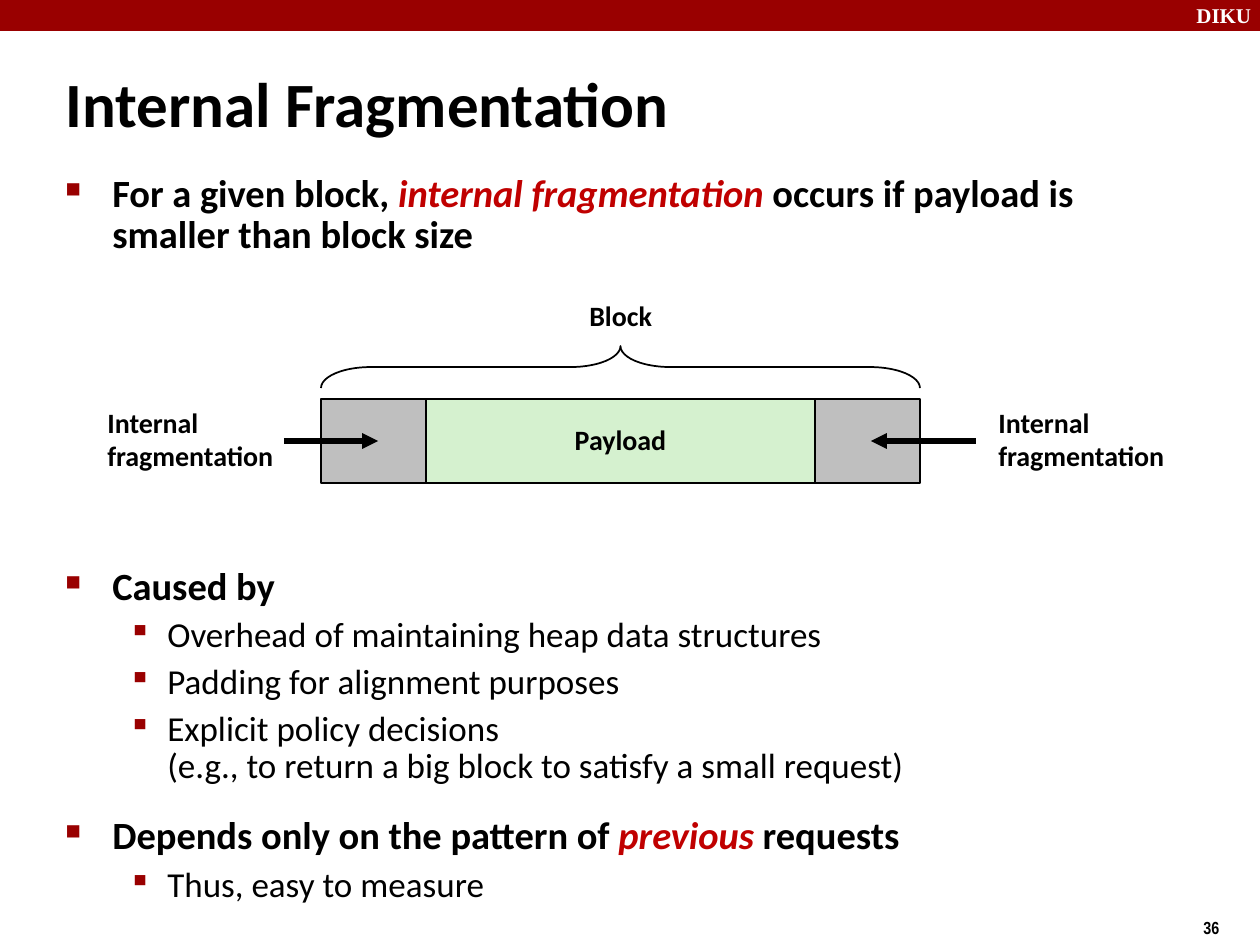
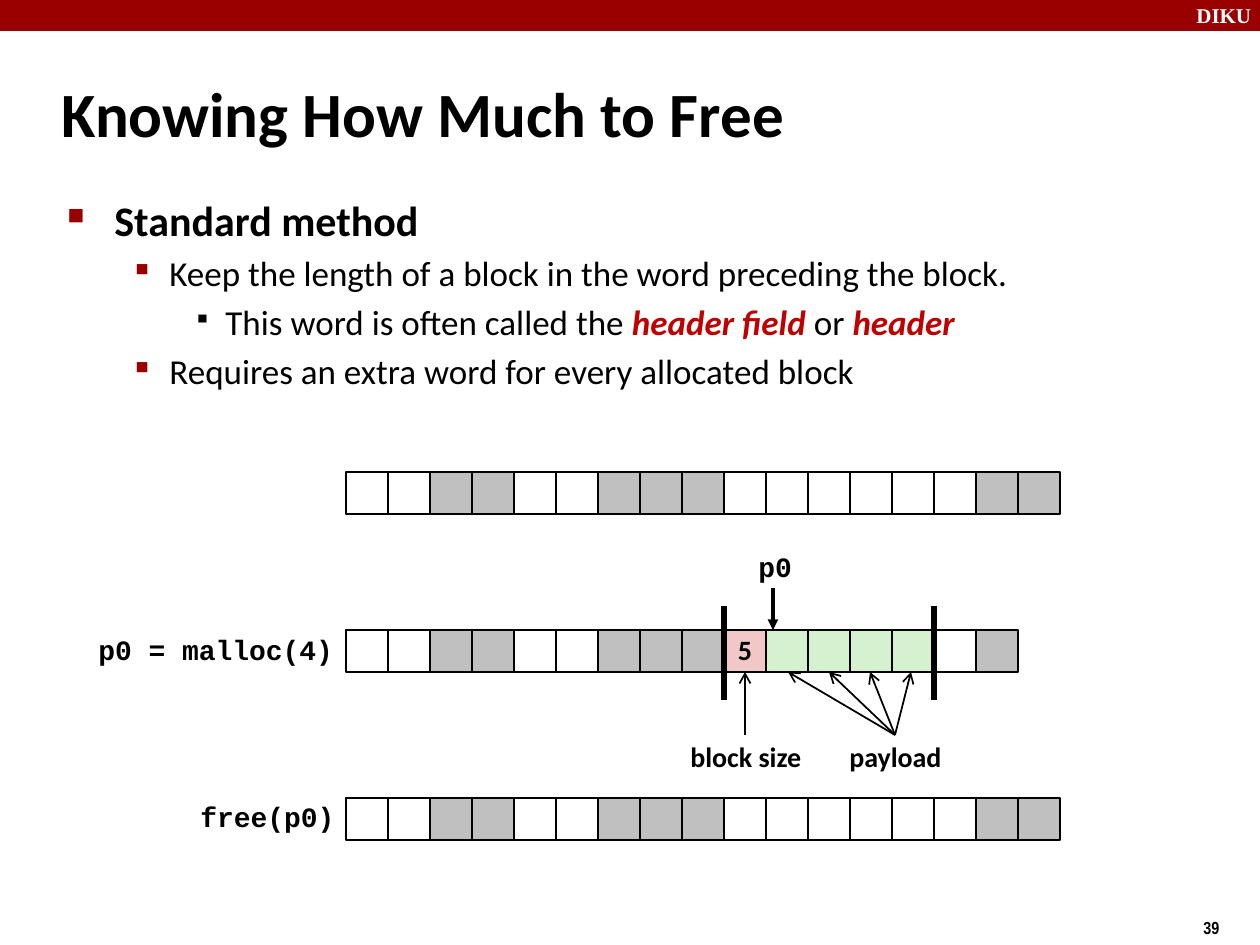
from lxml import etree
from pptx import Presentation, util as u
from pptx.dml.color import RGBColor
from pptx.enum import shapes, text
from pptx.oxml import ns

PX = 914400 / 126
BLACK, WHITE, BAND, ACCENT = "000000", "FFFFFF", "990000", "C00000"
GRAY, GREEN, PINK = "BFBFBF", "D5F1CF", "F1C7C7"
SANS, MONO, SERIF, NARROW = "Calibri", "Courier New", "Times New Roman", "Arial Narrow"

# Bullet levels: indent, hanging width, bullet, bullet colour, bullet size in percent, bold
LEVELS = [
    (47, 47, "■", BAND, 55, True),
    (102, 39, "▪", BAND, 90, False),
    (158, 32, "▪", BLACK, 70, False),
]

# Content: (level, space before in points, spans); a one-item tuple is emphasised
FRAGMENTATION = {
    "title": "Internal Fragmentation", "title_at": (53, 63, 927, 79), "number": "36",
    "body_at": (53, 169, 1144, 745), "sizes": (22, 20), "spacing": 0.88,
    "points": [
        (0, 5.6, ["For a given block, ", ("internal fragmentation ",),
                  "occurs if payload is smaller than block size"]),
        (0, 178, ["Caused by"]),
        (1, 5.6, ["Overhead of maintaining heap data structures"]),
        (1, 5.6, ["Padding for alignment purposes"]),
        (1, 5.6, ["Explicit policy decisions", "\n",
                  "(e.g., to return a big block to satisfy a small request)"]),
        (0, 18, ["Depends only on the pattern of ", ("previous",), " requests"]),
        (1, 5.6, ["Thus, easy to measure"]),
    ],
}
FREEING = {
    "title": "Knowing How Much to Free", "title_at": (49, 60, 1046, 105), "number": "39",
    "body_at": (55, 188, 1087, 685), "sizes": (24, 20, 20), "spacing": 1.0,
    "points": [
        (0, 4.8, ["Standard method"]),
        (1, 4, ["Keep the length of a block in the word preceding the block."]),
        (2, 4, ["This word is often called the ", ("header field ",), "or ", ("header",)]),
        (1, 4, ["Requires an extra word for every allocated block"]),
    ],
}

# Heap rows: top and one letter per word (. free, # used, h header, p payload)
CELL, HEAP_LEFT = 42, 346
WORD_FILLS = {".": WHITE, "#": "C0C0C0", "h": PINK, "p": GREEN}
HEAP_ROWS = [
    (472, "..##..###......##"),
    (630, "..##..###hpppp.#"),
    (798, "..##..###......##"),
]
HEAP_LABELS = [
    ("p0 = malloc(4)", (86, 629, 272, 47), MONO),
    ("p0", (746, 546, 70, 47), MONO),
    ("free(p0)", (188, 796, 171, 47), MONO),
    ("block size", (678, 735, 148, 47), SANS),
    ("payload", (837, 735, 129, 47), SANS),
]


def px(length):
    return u.Emu(round(length * PX))


def color(value):
    return RGBColor.from_string(value)


def add_span(para, words, size, font=SANS, fill=BLACK, bold=True, italic=False):
    span = para.add_run()
    span.text = words
    span.font.name, span.font.size = font, u.Pt(size)
    span.font.bold, span.font.italic = bold, italic
    span.font.color.rgb = color(fill)


def add_text(page, at, lines, size, font=SANS, fill=BLACK, spacing=1.0, middle=False):
    frame = page.shapes.add_textbox(*map(px, at)).text_frame
    frame.word_wrap = True
    if middle:
        frame.vertical_anchor = text.MSO_ANCHOR.MIDDLE
    for index, line in enumerate(lines):
        para = frame.add_paragraph() if index else frame.paragraphs[0]
        para.line_spacing = spacing
        add_span(para, line, size, font, fill)


def add_rect(page, at, fill, outlined=True, label=None):
    box = page.shapes.add_shape(shapes.MSO_SHAPE.RECTANGLE, *map(px, at))
    box.shadow.inherit = False
    box.fill.solid()
    box.fill.fore_color.rgb = color(fill)
    if outlined:
        box.line.color.rgb = color(BLACK)
        box.line.width = u.Pt(1)
    else:
        box.line.fill.background()
    if label:
        frame = box.text_frame
        frame.word_wrap = False
        frame.vertical_anchor = text.MSO_ANCHOR.MIDDLE
        para = frame.paragraphs[0]
        para.alignment = text.PP_ALIGN.CENTER
        para.line_spacing = 0.98
        add_span(para, label, 16)


def add_line(page, start, end, width, head=None):
    line = page.shapes.add_connector(shapes.MSO_CONNECTOR.STRAIGHT, *map(px, start + end))
    line.line.color.rgb = color(BLACK)
    line.line.width = u.Pt(width)
    if head:
        etree.SubElement(line.line._get_or_add_ln(), ns.qn("a:tailEnd"), type=head)
    etree.SubElement(line._element.spPr, ns.qn("a:effectLst"))


def add_bullet(para, level):
    indent, hanging, mark, fill, percent, _ = LEVELS[level]
    para.level = level
    props = para._p.get_or_add_pPr()
    props.set("marL", str(px(indent)))
    props.set("indent", str(-px(hanging)))
    tint = etree.SubElement(props, ns.qn("a:buClr"))
    etree.SubElement(tint, ns.qn("a:srgbClr"), val=fill)
    etree.SubElement(props, ns.qn("a:buSzPct"), val=str(percent * 1000))
    etree.SubElement(props, ns.qn("a:buChar"), char=mark)


def add_body(page, content):
    frame = page.shapes.add_textbox(*map(px, content["body_at"])).text_frame
    frame.word_wrap = True
    for index, (level, before, spans) in enumerate(content["points"]):
        para = frame.add_paragraph() if index else frame.paragraphs[0]
        para.line_spacing = content["spacing"]
        para.space_before = u.Pt(before)
        add_bullet(para, level)
        for words in spans:
            size = content["sizes"][level]
            if words == "\n":
                para.add_line_break()
            elif isinstance(words, tuple):
                add_span(para, words[0], size, fill=ACCENT, italic=True)
            else:
                add_span(para, words, size, bold=LEVELS[level][-1])


def add_page(deck, content):
    page = deck.slides.add_slide(deck.slide_layouts[6])
    add_rect(page, (0, 0, 1260, 31), BAND, outlined=False)
    add_text(page, (1184, -4, 84, 38), ["DIKU"], 12, SERIF, WHITE)
    add_text(page, (1191, 911, 60, 36), [content["number"]], 10, NARROW)
    add_text(page, content["title_at"], [content["title"]], 36, middle=True)
    add_body(page, content)
    return page


def draw_block(page):
    left, top, height, side, payload = 321, 399, 84, 105, 389
    width = payload + 2 * side
    add_rect(page, (left + side, top, payload, height), GREEN, label="Payload")
    for x in (left, left + side + payload):
        add_rect(page, (x, top, side, height), GRAY)

    # Brace turned to open downwards over the whole block
    depth, brace_top = 42, 346
    shift = (width - depth) / 2
    brace = page.shapes.add_shape(shapes.MSO_SHAPE.RIGHT_BRACE, px(left + shift),
                                  px(brace_top - shift), px(depth), px(width))
    brace.rotation = 270
    brace.adjustments[0] = 1.188
    brace.shadow.inherit = False
    brace.fill.background()
    brace.line.color.rgb = color(BLACK)
    brace.line.width = u.Pt(1)
    add_text(page, (577, 294, 100, 47), ["Block"], 16, spacing=0.98)

    # Side labels with arrows into the unused parts
    for label_left, start, end in ((95, 284, 378), (986, 976, 871)):
        add_text(page, (label_left, 401, 204, 79), ["Internal", "fragmentation"], 16, spacing=0.98)
        add_line(page, (start, 441), (end, 441), 3, "triangle")


def draw_heap(page):
    for top, words in HEAP_ROWS:
        for index, kind in enumerate(words):
            add_rect(page, (HEAP_LEFT + index * CELL, top, CELL, CELL), WORD_FILLS[kind],
                     label="5" if kind == "h" else None)
    for label, at, font in HEAP_LABELS:
        add_text(page, at, [label], 16, font, spacing=0.94 if font == MONO else 0.98)

    # Block limits, pointer and arrows to the words
    top, words = HEAP_ROWS[1]
    header = HEAP_LEFT + words.index("h") * CELL
    for x in (header, header + 5 * CELL):
        add_line(page, (x, 606), (x, 700), 3)
    add_line(page, (773, 588), (773, top), 2, "triangle")
    foot = top + CELL
    add_line(page, (745, 735), (745, foot), 1, "arrow")
    for index in range(words.count("p")):
        add_line(page, (895, 735), (788 + 41 * index, foot), 1, "arrow")


def main():
    deck = Presentation()
    deck.slide_width, deck.slide_height = px(1260), px(945)
    draw_block(add_page(deck, FRAGMENTATION))
    draw_heap(add_page(deck, FREEING))
    deck.save("out.pptx")


if __name__ == "__main__":
    main()
